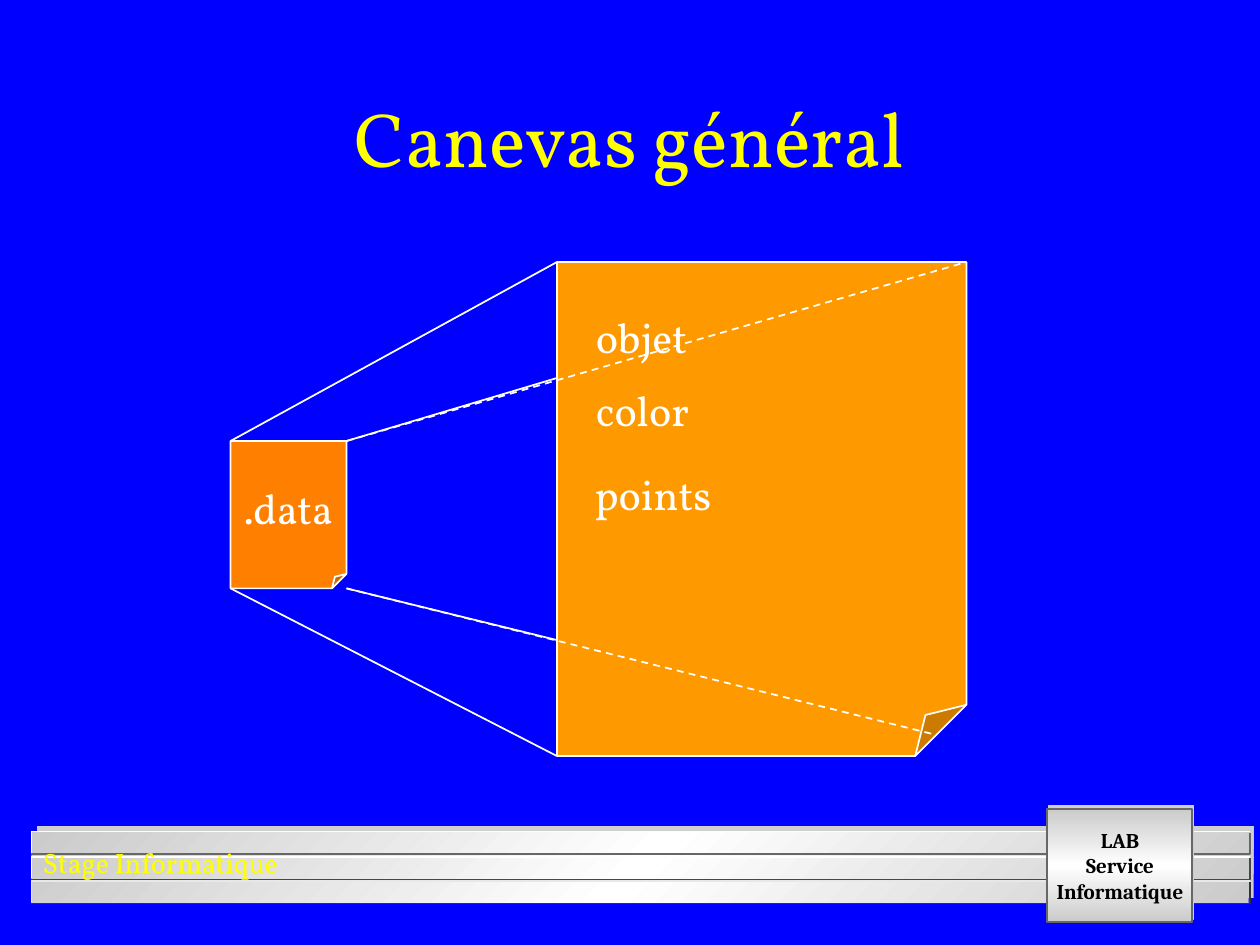
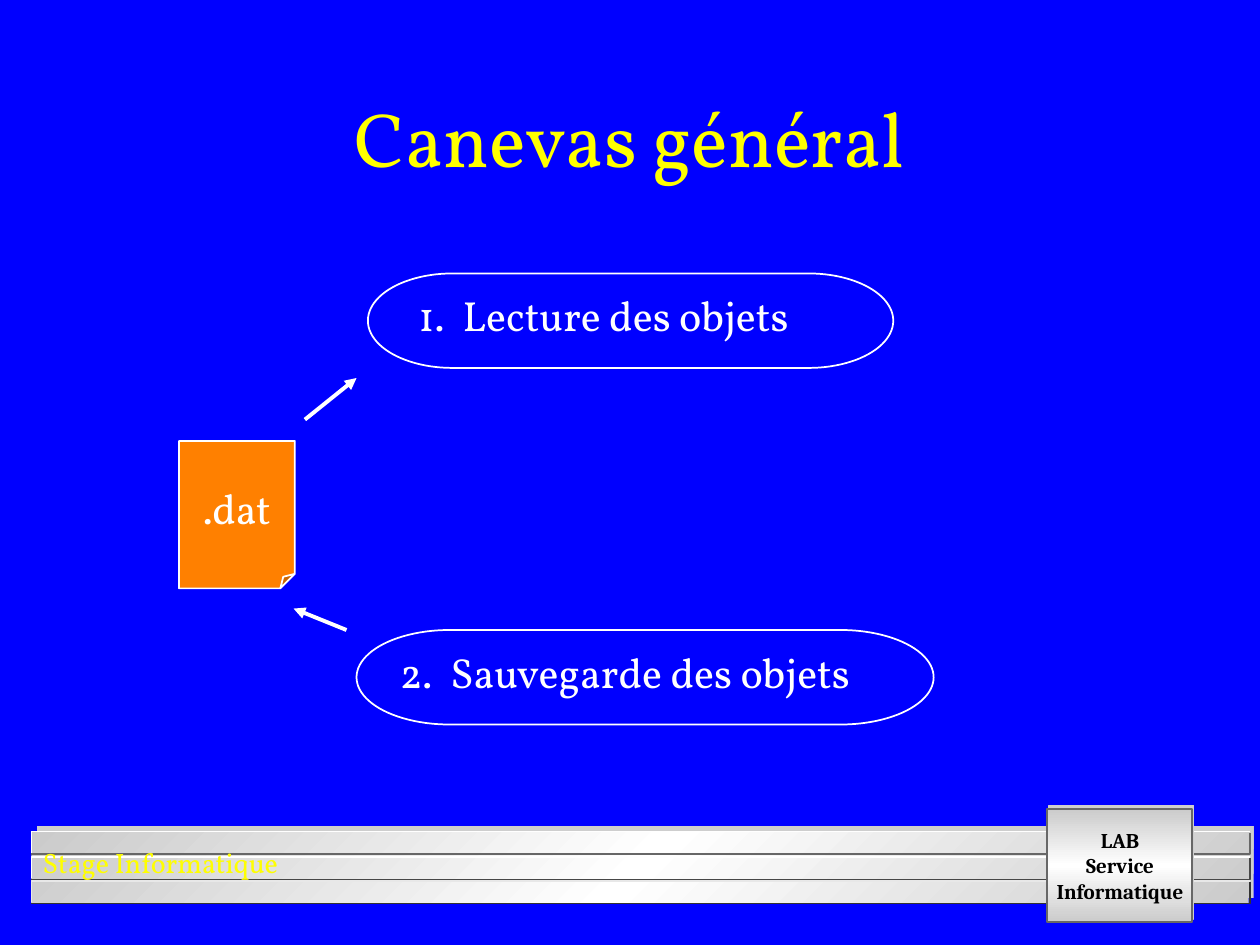
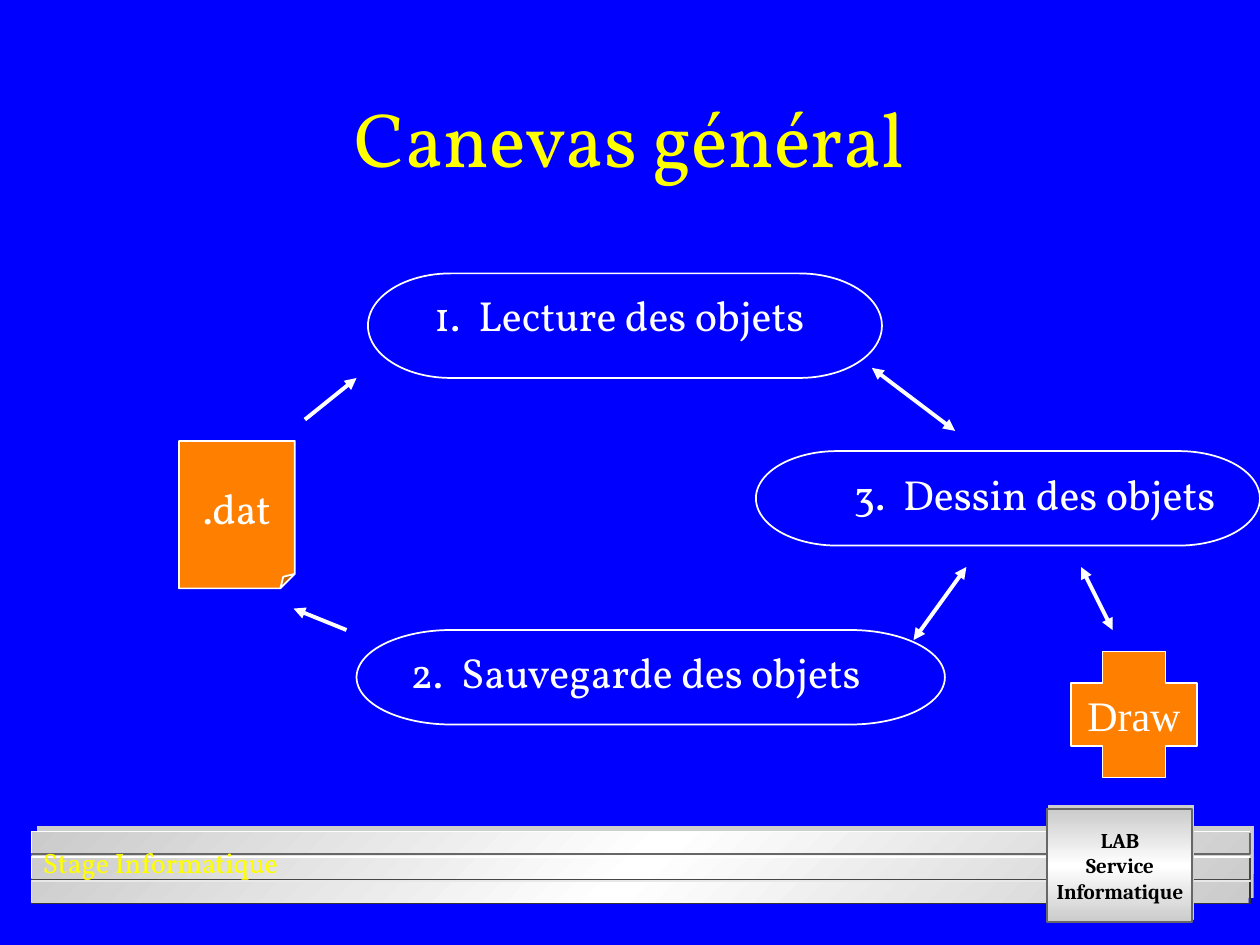
from dataclasses import dataclass

from lxml import etree
from pptx import Presentation
from pptx import util as u
from pptx.dml.color import RGBColor
from pptx.enum import dml, shapes, text
from pptx.oxml.ns import qn


@dataclass(frozen=True)
class Theme:
    back: str = "0000FF"
    ink: str = "FFFFFF"
    accent: str = "FFFF00"
    sheet: str = "FF8000"
    page: str = "FF9900"
    dark: str = "000000"
    edge: str = "676767"
    shade: str = "CECECE"
    steel: tuple = ("CBCBCB", "FFFFFF", "CBCBCB")
    font: str = "Vollkorn"
    bold: str = "Cambria"
    plain: str = "Times New Roman"
    head: int = 44
    body: int = 24
    foot: int = 16
    badge: int = 12
    thin: float = 1
    thick: float = 2.25


T = Theme()
rgb = RGBColor.from_string
kind = shapes.MSO_SHAPE
mid, low = text.MSO_ANCHOR.MIDDLE, text.MSO_ANCHOR.BOTTOM


def write(item, rows, size=T.body, color=T.ink, font=T.font, bold=False,
          center=True, wrap=False, anchor=text.MSO_ANCHOR.TOP):
    """Fill a shape; each row is a list of (words, letter spacing) runs."""
    frame = item.text_frame
    frame.word_wrap = wrap
    frame.vertical_anchor = anchor
    for n, row in enumerate(rows):
        para = frame.add_paragraph() if n else frame.paragraphs[0]
        para.alignment = text.PP_ALIGN.CENTER if center else text.PP_ALIGN.LEFT
        for words, gap in row:
            run = para.add_run()
            run.text = words
            run.font.size = u.Pt(size)
            run.font.name = font
            run.font.bold = bold
            run.font.color.rgb = rgb(color)
            if gap:
                run.font._element.set("spc", str(gap))


def block(slide, form, box, fill=None, line=T.ink):
    """Add a preset shape; a tuple as fill means (colours, angle, shadow)."""
    item = slide.shapes.add_shape(form, *map(u.Inches, box))
    item.shadow.inherit = False
    if line:
        item.line.color.rgb = rgb(line)
        item.line.width = u.Pt(T.thin)
    else:
        item.line.fill.background()
    if fill is None:
        item.fill.background()
    elif isinstance(fill, str):
        item.fill.solid()
        item.fill.fore_color.rgb = rgb(fill)
    else:
        tones, angle, (dist, turn) = fill
        item.fill.gradient()
        item.fill.gradient_angle = angle
        props = item._element.spPr
        stops = props.find(".//" + qn("a:gsLst"))
        stops.clear()
        for n, tone in enumerate(tones):
            stop = etree.SubElement(stops, qn("a:gs"), pos=str(n * 50000))
            etree.SubElement(stop, qn("a:srgbClr"), val=tone)
        cast = etree.SubElement(
            props.find(qn("a:effectLst")), qn("a:outerShdw"), blurRad="0",
            dist=str(u.Pt(dist)), dir=str(turn * 60000), rotWithShape="0")
        etree.SubElement(cast, qn("a:srgbClr"), val=T.shade)
    return item


# Content: solids, step pills, lines and labels of each slide
disk = (kind.FOLDED_CORNER, (1.42, 3.5, 0.92, 1.17), T.sheet, ".dat", T.font)
read, save, show = "Lecture des objets", "Sauvegarde des objets", "Dessin des objets"
# Each line: start, end, style (">" one head, "<>" two heads, "-" dashed)
flow = [((2.42, 3.33), (2.83, 3), ">"), ((2.75, 5), (2.33, 4.83), ">")]
pages = [
    dict(
        solids=[
            (kind.FOLDED_CORNER, (1.83, 3.5, 0.92, 1.17), T.sheet, ".data", T.font),
            (kind.FOLDED_CORNER, (4.42, 2.08, 3.25, 3.92), T.page, "", T.font),
        ],
        pills=[],
        lines=[
            ((2.75, 3.5), (7.67, 2.08), "-"),
            ((1.83, 3.5), (4.42, 2.08), ""),
            ((1.83, 4.67), (4.42, 6), ""),
            ((2.75, 4.67), (7.42, 5.83), "-"),
            ((2.75, 3.5), (4.42, 3), ""),
            ((2.75, 4.67), (4.42, 5.08), ""),
        ],
        labels=[
            ("objet", (4.63, 2.42, 0.99, 0.5)),
            ("color", (4.63, 3, 1.01, 0.5)),
            ("points", (4.62, 3.67, 1.18, 0.5)),
        ],
    ),
    dict(
        solids=[disk],
        pills=[
            (read, (2.92, 2.17, 4.17, 0.75), (3.08, 2.25, 3.42, 0.5)),
            (save, (2.83, 5, 4.58, 0.75), (2.92, 5.08, 4.08, 0.5)),
        ],
        lines=flow,
        labels=[],
    ),
    dict(
        solids=[disk, (kind.CROSS, (8.5, 5.17, 1, 1), T.sheet, "Draw", T.plain)],
        pills=[
            (read, (2.92, 2.17, 4.08, 0.83), (3.08, 2.25, 3.67, 0.5)),
            (save, (2.83, 5, 4.67, 0.75), (2.92, 5.08, 4.25, 0.5)),
            (show, (6, 3.58, 4, 0.75), (6.42, 3.67, 3.58, 0.5)),
        ],
        lines=flow + [
            ((6.92, 2.92), (7.58, 3.42), "<>"),
            ((7.25, 5.08), (7.67, 4.5), "<>"),
            ((8.83, 5), (8.58, 4.5), "<>"),
        ],
        labels=[],
    ),
]

# Bevels of the three footer bars: top, light edge, dark edge
left, right, deep = 0.25, 9.92, 0.17
bars = [(6.6, "FFFFFF", T.edge), (6.8, "FFFFFF", "474747"), (6.99, "E8E8E8", "333333")]

deck = Presentation()
deck.slide_width, deck.slide_height = u.Inches(10), u.Inches(7.5)
ground = deck.slide_master.background.fill
ground.solid()
ground.fore_color.rgb = rgb(T.back)

for page in pages:
    slide = deck.slides.add_slide(deck.slide_layouts[6])

    # Footer band
    block(slide, kind.RECTANGLE, (left, 6.6, 9.66, 0.57), (T.steel, 135, (4.2, 315)), None)
    for top, light, dark in bars:
        base = top + 0.01
        for tone, pts in (
            (light, [(left, top + deep), (left, top), (right, top)]),
            (dark, [(right, base), (right, base + deep), (left, base + deep)]),
        ):
            dots = [(u.Inches(x), u.Inches(y)) for x, y in pts]
            pen = slide.shapes.build_freeform(*dots[0])
            pen.add_line_segments(dots[1:], close=False)
            edge = pen.convert_to_shape()
            edge.shadow.inherit = False
            edge.fill.background()
            edge.line.color.rgb = rgb(tone)
            edge.line.width = u.Pt(T.thin)

    # Badge and footer text
    block(slide, kind.RECTANGLE, (8.31, 6.42, 1.15, 0.9), (T.steel, 270, (2.2, 296)), T.edge)
    badge = slide.shapes.add_textbox(*map(u.Inches, (8.21, 6.52, 1.36, 0.7)))
    write(badge, [[(row, 0)] for row in ("LAB", "Service", "Informatique")],
          T.badge, T.dark, T.bold, bold=True)
    foot = slide.shapes.add_textbox(*map(u.Inches, (0.24, 6.66, 2.24, 0.37)))
    write(foot, [[("Stage Informatique", 0)]], T.foot, T.accent, center=False)

    # Title
    title = slide.shapes.add_textbox(*map(u.Inches, (0.75, 0.25, 8.5, 1.25)))
    write(title, [[("Canevas général", 0)]], T.head, T.accent, wrap=True, anchor=low)

    # Files and drawing module
    for form, box, fill, words, font in page["solids"]:
        item = block(slide, form, box, fill)
        if form == kind.FOLDED_CORNER:
            guides = item._element.spPr.find(".//" + qn("a:avLst"))
            guides.clear()
            etree.SubElement(guides, qn("a:gd"), name="adj", fmla="val 12500")
        if words:
            write(item, [[(words, 0)]], font=font, anchor=mid)

    # Numbered steps
    for n, (words, box, area) in enumerate(page["pills"], 1):
        block(slide, kind.FLOWCHART_TERMINATOR, box)
        note = slide.shapes.add_textbox(*map(u.Inches, area))
        write(note, [[(f"{n}.", 0), (" ", 550), (words, 0)]], wrap=True)

    # Lines and arrows
    for start, end, style in page["lines"]:
        link = slide.shapes.add_connector(
            shapes.MSO_CONNECTOR.STRAIGHT, *map(u.Inches, start + end))
        link.line.color.rgb = rgb(T.ink)
        link.line.width = u.Pt(T.thick if ">" in style else T.thin)
        if style == "-":
            link.line.dash_style = dml.MSO_LINE.DASH
        props = link._element.spPr
        for mark, tag in (("<", "a:headEnd"), (">", "a:tailEnd")):
            if mark in style:
                etree.SubElement(props.find(qn("a:ln")), qn(tag), type="triangle")
        etree.SubElement(props, qn("a:effectLst"))

    # Labels
    for words, area in page["labels"]:
        note = slide.shapes.add_textbox(*map(u.Inches, area))
        write(note, [[(words, 0)]], center=False)

deck.save("out.pptx")
